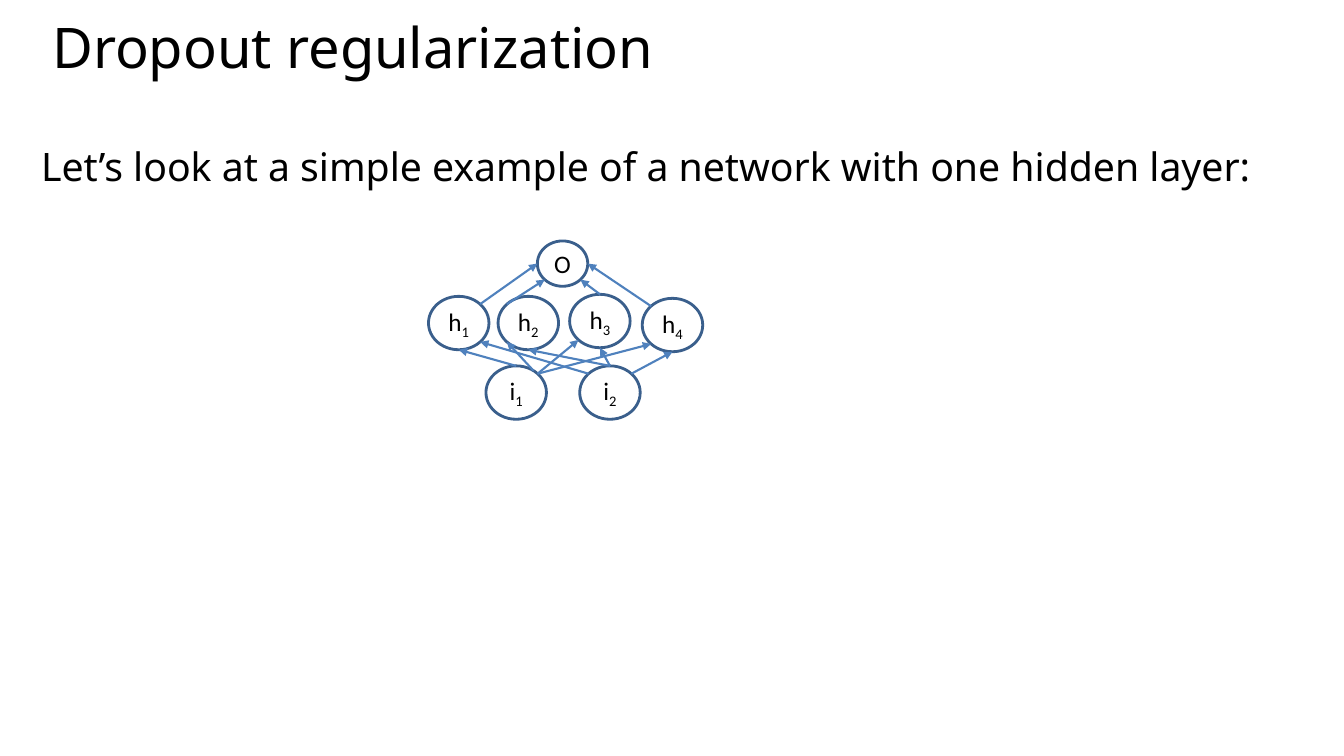
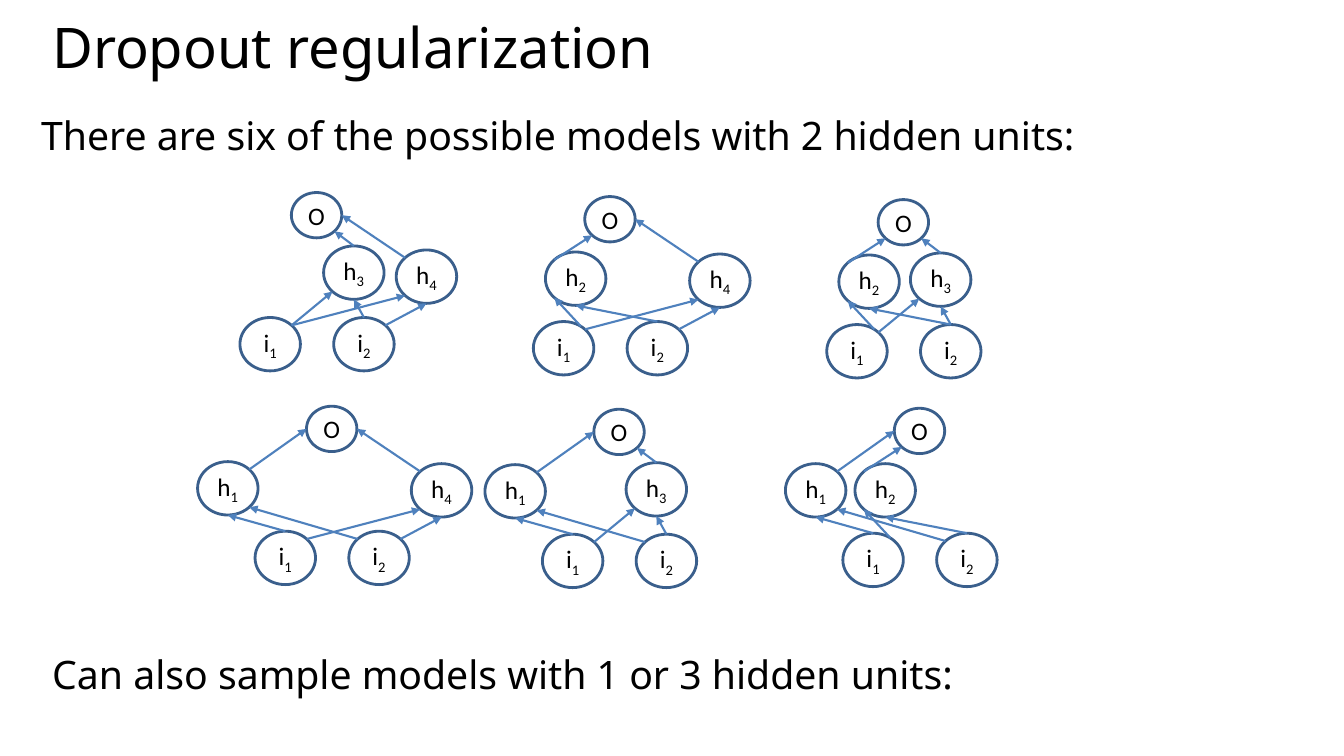
from math import cos, radians, sin

from lxml.etree import SubElement
from pptx import Presentation
from pptx.dml.color import RGBColor
from pptx.enum.shapes import MSO_CONNECTOR, MSO_SHAPE
from pptx.enum.text import MSO_ANCHOR, PP_ALIGN
from pptx.oxml.ns import qn
from pptx.util import Inches, Pt

BLACK = RGBColor(0x00, 0x00, 0x00)
NODE_BLUE = RGBColor(0x3A, 0x5F, 0x8C)
ARROW_BLUE = RGBColor(0x4F, 0x81, 0xBD)
TEXT_FONT, NODE_FONT = "Noto Sans", "Calibri"
TEXT_WIDTH = 12.6

# Each unit: left and top measured from the output unit, then width and height.
UNITS = {
    "O": (0, 0, 0.5, 0.45),
    "h1": (-1.08, 0.55, 0.6, 0.53),
    "h2": (-0.39, 0.55, 0.6, 0.53),
    "h3": (0.32, 0.53, 0.6, 0.53),
    "h4": (1.04, 0.57, 0.6, 0.53),
    "i1": (-0.51, 1.24, 0.6, 0.53),
    "i2": (0.42, 1.24, 0.6, 0.53),
}

# Each arrow: start unit, angle on its rim, end unit, angle on its rim.
# Angles are in degrees, counterclockwise from the right.
ARROWS = [
    ("h1", 45, "O", 180),
    ("h2", 135, "O", 225),
    ("h3", 90, "O", 315),
    ("h4", 135, "O", 0),
    ("i1", 90, "h1", 270),
    ("i2", 135, "h1", 315),
    ("i1", 55, "h2", 225),
    ("i2", 90, "h2", 270),
    ("i1", 45, "h3", 225),
    ("i2", 90, "h3", 270),
    ("i1", 45, "h4", 225),
    ("i2", 45, "h4", 270),
]

# Each sampled model: left and top of its output unit, then its hidden units.
MODELS = [
    (2.89, 1.91, ("h3", "h4")),
    (5.8, 1.95, ("h2", "h4")),
    (8.71, 1.98, ("h2", "h3")),
    (3.04, 4.03, ("h1", "h4")),
    (5.89, 4.06, ("h1", "h3")),
    (8.87, 4.05, ("h1", "h2")),
]


def rim_point(unit, angle):
    """Return the point at an angle on the rim of a unit."""
    left, top, width, height = UNITS[unit]
    turn = radians(angle)
    return left + width / 2 * (1 + cos(turn)), top + height / 2 * (1 - sin(turn))


class Deck:
    """Holds the presentation, its style and the current slide."""

    def __init__(self):
        """Start an empty widescreen presentation."""
        self.presentation = Presentation()
        self.presentation.slide_width = Inches(13.33)
        self.presentation.slide_height = Inches(7.5)
        self.slide = None

    def add_slide(self, title):
        """Add a blank slide with the shared title."""
        layout = self.presentation.slide_layouts[6]
        self.slide = self.presentation.slides.add_slide(layout)
        paragraph = self.text(title, 0.42, 0.2, 1.16, 40)
        paragraph.line_spacing = 0.8

    def style(self, paragraph, name, size):
        """Set the font of a whole paragraph."""
        paragraph.font.name = name
        paragraph.font.size = Pt(size)
        paragraph.font.color.rgb = BLACK

    def text(self, words, left, top, height, size):
        """Add a wide line of text and return its paragraph."""
        shape = self.slide.shapes.add_textbox(
            Inches(left), Inches(top), Inches(TEXT_WIDTH), Inches(height))
        shape.text_frame.word_wrap = True
        paragraph = shape.text_frame.paragraphs[0]
        paragraph.text = words
        self.style(paragraph, TEXT_FONT, size)
        return paragraph

    def statement(self, words, left, top, height=0.56):
        """Add a line of body text."""
        self.text(words, left, top, height, 28).space_before = Pt(14)

    def unit(self, name, x, y):
        """Add one network unit, its number as a subscript."""
        left, top, width, height = UNITS[name]
        shape = self.slide.shapes.add_shape(
            MSO_SHAPE.OVAL, Inches(x + left), Inches(y + top),
            Inches(width), Inches(height))
        shape.shadow.inherit = False
        shape.fill.background()
        shape.line.color.rgb = NODE_BLUE
        shape.line.width = Pt(2)
        frame = shape.text_frame
        frame.word_wrap = False
        frame.vertical_anchor = MSO_ANCHOR.MIDDLE
        frame.margin_left = frame.margin_right = 0
        frame.margin_top = frame.margin_bottom = 0
        paragraph = frame.paragraphs[0]
        paragraph.alignment = PP_ALIGN.CENTER
        self.style(paragraph, NODE_FONT, 18)
        letter, number = name[0], name[1:]
        paragraph.add_run().text = letter
        if number:
            run = paragraph.add_run()
            run.text = number
            run._r.get_or_add_rPr().set("baseline", "-25000")

    def arrow(self, start, end, x, y):
        """Add an arrow between two points of a network at x, y."""
        line = self.slide.shapes.add_connector(
            MSO_CONNECTOR.STRAIGHT,
            Inches(x + start[0]), Inches(y + start[1]),
            Inches(x + end[0]), Inches(y + end[1]))
        line.line.color.rgb = ARROW_BLUE
        line.line.width = Pt(1.5)
        SubElement(line.line._get_or_add_ln(), qn("a:tailEnd"), type="triangle")
        SubElement(line._element.spPr, qn("a:effectLst"))

    def network(self, x, y, hidden):
        """Add a network with the given hidden units, output unit at x, y."""
        present = ("O", *hidden, "i1", "i2")
        for name in present:
            self.unit(name, x, y)
        for source, leave, target, arrive in ARROWS:
            if source in present and target in present:
                self.arrow(rim_point(source, leave), rim_point(target, arrive), x, y)


def build():
    """Build both slides and save them."""
    deck = Deck()
    title = "Dropout regularization"

    deck.add_slide(title)
    deck.statement("Let’s look at a simple example of a network with one hidden layer:",
                   0.31, 1.36, 0.63)
    deck.network(5.33, 2.39, ("h1", "h2", "h3", "h4"))

    deck.add_slide(title)
    deck.statement("There are six of the possible models with 2 hidden units:", 0.31, 1.06)
    for x, y, hidden in MODELS:
        deck.network(x, y, hidden)
    deck.statement("Can also sample models with 1 or 3 hidden units:", 0.42, 6.4)

    deck.presentation.save("out.pptx")


build()
